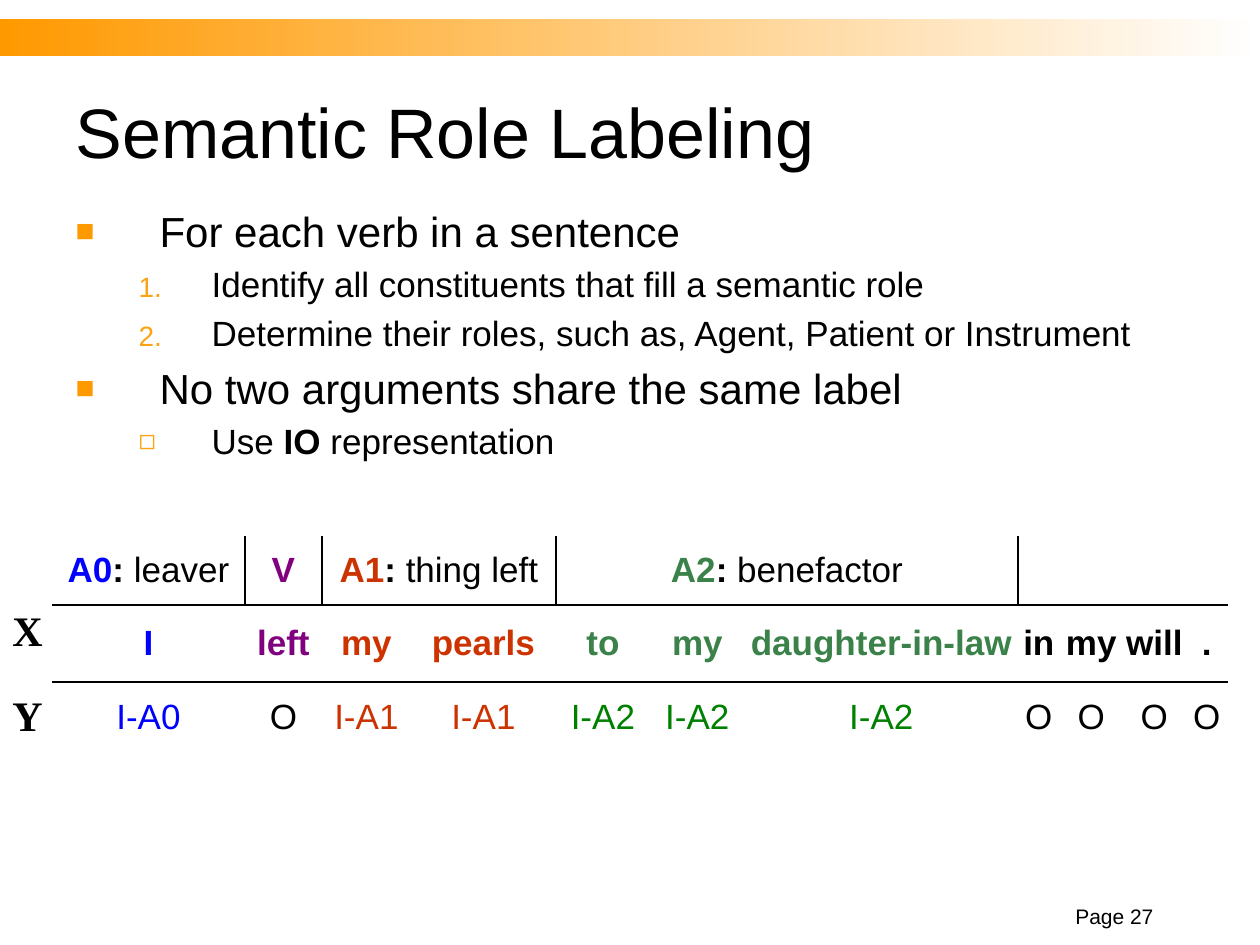
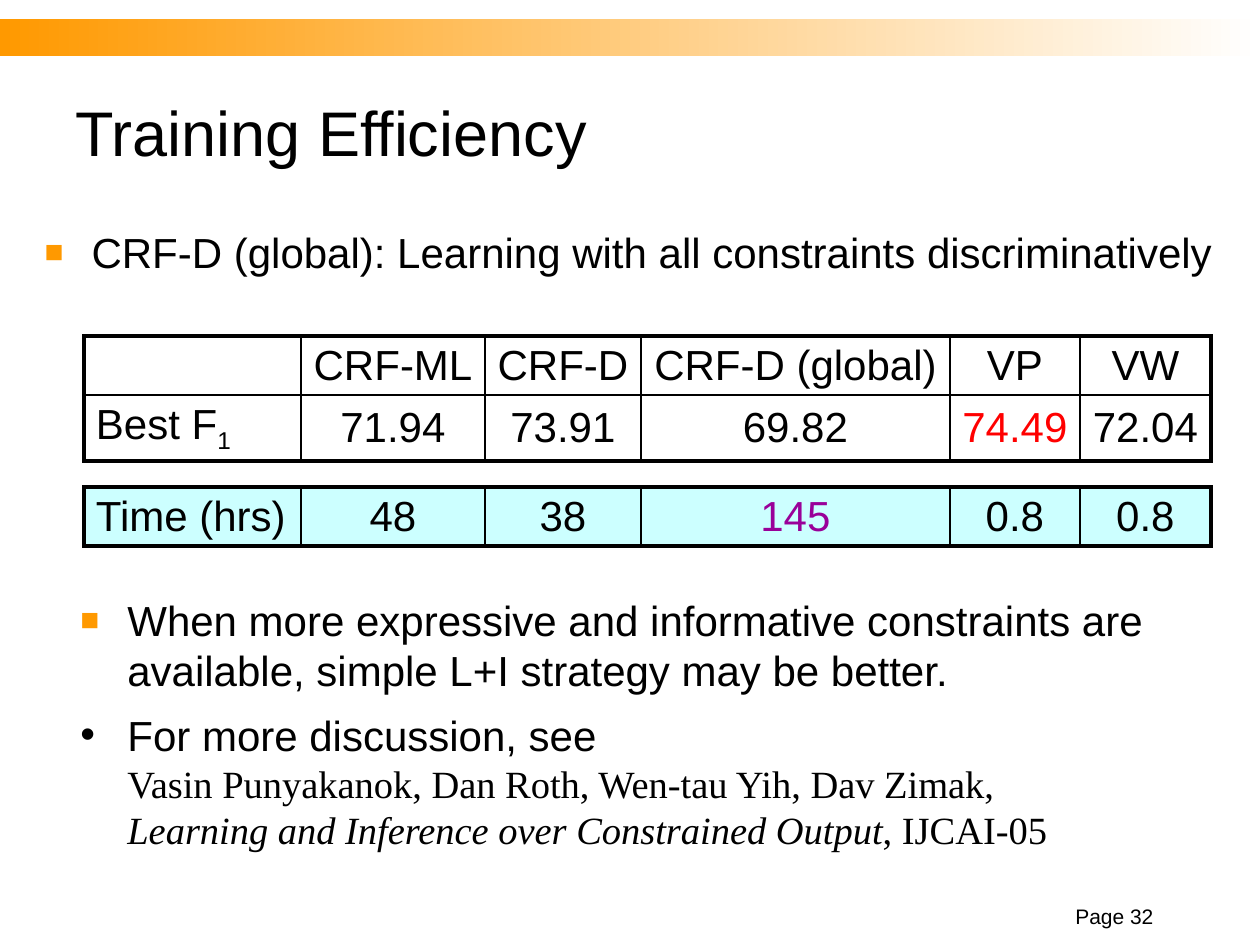
from lxml import etree
from pptx import Presentation
from pptx import util as u
from pptx.dml.color import RGBColor
from pptx.enum import shapes, text
from pptx.oxml import ns

BLACK = RGBColor(0, 0, 0)
WHITE = RGBColor(255, 255, 255)
ORANGE = RGBColor(0xFF, 0x99, 0)
AMBER = RGBColor(0xFB, 0xA3, 0x13)
BLUE = RGBColor(0, 0, 255)
PURPLE = RGBColor(0x80, 0, 0x80)
RUST = RGBColor(0xCC, 0x33, 0)
MOSS = RGBColor(0x3A, 0x82, 0x49)
GREEN = RGBColor(0, 0x80, 0)
RED = RGBColor(255, 0, 0)
PLUM = RGBColor(0x99, 0, 0x99)
CYAN = RGBColor(0xCC, 255, 255)
SANS, SERIF = "Arial", "Times New Roman"
PLAIN_ID = "{2D5ABB26-0587-4C30-8999-92F81FD0307C}"
MID = text.MSO_ANCHOR.MIDDLE
LEFT, CENTER, RIGHT = text.PP_ALIGN.LEFT, text.PP_ALIGN.CENTER, text.PP_ALIGN.RIGHT
BOLD = {"bold": True}

SQUARE = ("■", ORANGE, 75)
HOLLOW = ("◻", AMBER, 80)
NUMBER = ("1.", AMBER, 80)
DOT = ("•", None, 100)

STEPS = [
    (0, SQUARE, [("For each verb in a sentence", {})]),
    (1, NUMBER, [("Identify all constituents that fill a semantic role", {})]),
    (1, NUMBER, [("Determine their roles, such as, Agent, Patient or Instrument", {})]),
    (0, SQUARE, [("No two arguments share the same label", {})]),
    (1, HOLLOW, [("Use ", {}), ("IO", BOLD), (" representation", {})]),
]
LEVELS = [(84, 84, 24), (136, 73, 20)]
ROLES = [
    ("A0", "leaver", BLUE, BLUE, [("I", "I-A0", 193)]),
    ("V", "", PURPLE, BLACK, [("left", "O", 77)]),
    ("A1", "thing left", RUST, RUST, [("my", "I-A1", 89), ("pearls", "I-A1", 145)]),
    ("A2", "benefactor", MOSS, GREEN,
     [("to", "I-A2", 94), ("my", "I-A2", 95), ("daughter-in-law", "I-A2", 273)]),
    ("", "", BLACK, BLACK,
     [("in", "O", 42), ("my", "O", 63), ("will", "O", 63), (".", "O", 42)]),
]
AXES = [("X", 598), ("Y", 683)]
SCORES = [
    ["", "CRF-ML", "CRF-D", "CRF-D (global)", "VP", "VW"],
    ["Best F", "71.94", "73.91", "69.82", "74.49", "72.04"],
    [""] * 6,
    ["Time (hrs)", "48", "38", "145", "0.8", "0.8"],
]
MARKS = {"74.49": RED, "145": PLUM}
WIDTHS = [217, 184, 156, 309, 130, 131]
HEIGHTS = [59, 66, 26, 59]
GLOBAL = "CRF-D (global): Learning with all constraints discriminatively"
CLAIM = ("When more expressive and informative constraints are available, "
         "simple L+I strategy may be better.")
CITE = [
    ("For more discussion, see", {}), (" ", {"size": 22}), None,
    ("Vasin Punyakanok, Dan Roth, Wen-tau Yih, Dav Zimak, ", {"size": 22, "name": SERIF}), None,
    ("Learning and Inference over Constrained Output", {"size": 22, "name": SERIF, "italic": True}),
    (", IJCAI-05", {"size": 22, "name": SERIF}),
]


def px(n):
    return round(n * 914400 / 126)


def add(node, tag, **attrs):
    return etree.SubElement(node, ns.qn("a:" + tag), {k: str(v) for k, v in attrs.items()})


def write(para, runs, size, align=LEFT, space=0):
    para.alignment = align
    if space:
        add(add(para._p.get_or_add_pPr(), "spcBef"), "spcPct", val=space * 1000)
    for item in runs:
        if item is None:
            para.add_line_break()
            continue
        look = {"size": size, "color": BLACK, "name": SANS, "bold": False, **item[1]}
        run = para.add_run()
        run.text = item[0]
        font = run.font
        font.size = u.Pt(look["size"])
        font.color.rgb = look["color"]
        font.name = look["name"]
        font.bold = look["bold"]
        font.italic = look.get("italic", False)
        if "base" in look:
            run._r.get_or_add_rPr().set("baseline", str(look["base"] * 1000))


def bullet(para, mark, left, hang):
    char, color, size = mark
    props = para._p.get_or_add_pPr()
    props.set("marL", str(px(left)))
    props.set("indent", str(-px(hang)))
    if color is not None:
        add(add(props, "buClr"), "srgbClr", val=color)
    add(props, "buSzPct", val=size * 1000)
    add(props, "buFont", typeface=SANS)
    if mark is NUMBER:
        add(props, "buAutoNum", type="arabicPeriod")
    else:
        add(props, "buChar", char=char)


def place(shape, x, y, w, h, anchor=text.MSO_ANCHOR.TOP):
    shape.left, shape.top, shape.width, shape.height = map(px, (x, y, w, h))
    frame = shape.text_frame
    frame.word_wrap = True
    frame.auto_size = text.MSO_AUTO_SIZE.NONE
    frame.vertical_anchor = anchor
    return frame


def box(slide, *spot, **opts):
    return place(slide.shapes.add_textbox(0, 0, 0, 0), *spot, **opts)


def start(title, size, page):
    slide = deck.slides.add_slide(deck.slide_layouts[1])
    frame = place(slide.shapes.title, 63, 63, 1134, 136, MID)
    write(frame.paragraphs[0], [(title, {})], size)
    foot = box(slide, 1040, 903, 126, 32, anchor=text.MSO_ANCHOR.BOTTOM)
    write(foot.paragraphs[0], [("Page %d" % page, {})], 12, RIGHT)
    return slide


def band(slide):
    bar = slide.shapes.add_shape(shapes.MSO_SHAPE.RECTANGLE, 0, px(19), px(1260), px(37))
    bar.shadow.inherit = False
    bar.line.fill.background()
    bar.fill.gradient()
    bar.fill.gradient_angle = 0
    for stop, color, spot in zip(bar.fill.gradient_stops, (ORANGE, WHITE), (0, 1)):
        stop.color.rgb = color
        stop.position = spot
    bar._element.nvSpPr.cNvPr.id = 99
    deck.slide_master.element.cSld.spTree.insert(2, bar._element)


def grid(slide, x, y, widths, heights):
    frame = slide.shapes.add_table(len(heights), len(widths), px(x), px(y),
                                   px(sum(widths)), px(sum(heights)))
    table = frame.table
    table.first_row = table.horz_banding = False
    table._tbl.tblPr.find(ns.qn("a:tableStyleId")).text = PLAIN_ID
    for col, w in zip(table.columns, widths):
        col.width = px(w)
    for row, h in zip(table.rows, heights):
        row.height = px(h)
    return table


def cell(table, r, c, runs, size, pad, edges, fill=None, align=CENTER):
    item = table.cell(r, c)
    item.margin_left = item.margin_right = px(pad[0])
    item.margin_top = item.margin_bottom = px(pad[1])
    item.vertical_anchor = MID
    if fill is None:
        item.fill.background()
    else:
        item.fill.solid()
        item.fill.fore_color.rgb = fill
    para = item.text_frame.paragraphs[0]
    if runs:
        write(para, runs, size, align, 20)
    else:
        para._p.get_or_add_endParaRPr().set("sz", "400")
    props = item._tc.get_or_add_tcPr()
    for i, side in enumerate("LRTB"):
        width = edges.get(side, 0)
        line = etree.Element(ns.qn("a:ln" + side), w=str(u.Pt(width)))
        if width:
            add(add(line, "solidFill"), "srgbClr", val=BLACK)
        else:
            add(line, "noFill")
        props.insert(i, line)


def roles(slide):
    widths = [w for role in ROLES for _, _, w in role[4]]
    table = grid(slide, 52, 536, widths, [69, 77, 70])
    c = 0
    for tag, name, dark, tone, words in ROLES:
        first, last = c, c + len(words) - 1
        head = [(tag, {"color": dark, "bold": True})] if tag else []
        if name:
            head += [(": ", BOLD), (name, {})]
        for word, label, _ in words:
            edges = {"B": 1}
            if c == first and c:
                edges["L"] = 1
            if c == last and tag:
                edges["R"] = 1
            cell(table, 0, c, head if c == first else [], 20, (0, 0), edges)
            cell(table, 1, c, [(word, {"color": dark, "bold": True})], 20, (0, 0),
                 {"T": 1, "B": 1})
            cell(table, 2, c, [(label, {"color": tone})], 20, (0, 0), {"T": 1})
            c += 1
        if tag and last > first:
            table.cell(0, first).merge(table.cell(0, last))


def scores(slide):
    table = grid(slide, 84, 336, WIDTHS, HEIGHTS)
    end = len(WIDTHS) - 1
    for r, row in enumerate(SCORES):
        for c, value in enumerate(row):
            runs = [(value, {"color": MARKS.get(value, BLACK)})] if value else []
            if value == "Best F":
                runs.append(("1", {"base": -25}))
            edges = {"L": 1 if c else 2.25, "R": 1 if c < end else 2.25,
                     "T": 1 if r == 1 else 2.25, "B": 1 if r == 0 else 2.25}
            if r == 2:
                edges = {"T": 2.25, "B": 2.25}
            cell(table, r, c, runs, 24, (12, 0 if r == 2 else 5), edges,
                 CYAN if r == 3 else None, CENTER if c else LEFT)


deck = Presentation()
deck.slide_width, deck.slide_height = px(1260), px(945)

slide = start("Semantic Role Labeling", 40, 27)
band(slide)
body = place(slide.placeholders[1], 63, 199, 1144, 336)
for i, (level, mark, runs) in enumerate(STEPS):
    para = body.add_paragraph() if i else body.paragraphs[0]
    para.level = level
    left, hang, size = LEVELS[level]
    write(para, runs, size, LEFT, 20)
    bullet(para, mark, left, hang)
roles(slide)
for name, y in AXES:
    para = box(slide, 0, y, 53, 63).paragraphs[0]
    write(para, [(name, {"name": SERIF, "bold": True})], 24, CENTER, 50)

slide = start("Training Efficiency", 36, 32)
body = place(slide.placeholders[1], 32, 220, 1197, 63)
scores(slide)
cite = box(slide, 68, 703, 1113, 136)
claim = box(slide, 68, 588, 1155, 116)
for frame, mark, runs, space in [(body, SQUARE, [(GLOBAL, {})], 20),
                                 (cite, DOT, CITE, 50),
                                 (claim, SQUARE, [(CLAIM, {})], 20)]:
    para = frame.paragraphs[0]
    write(para, runs, 24, LEFT, space)
    bullet(para, mark, 47, 47)

deck.save("out.pptx")
